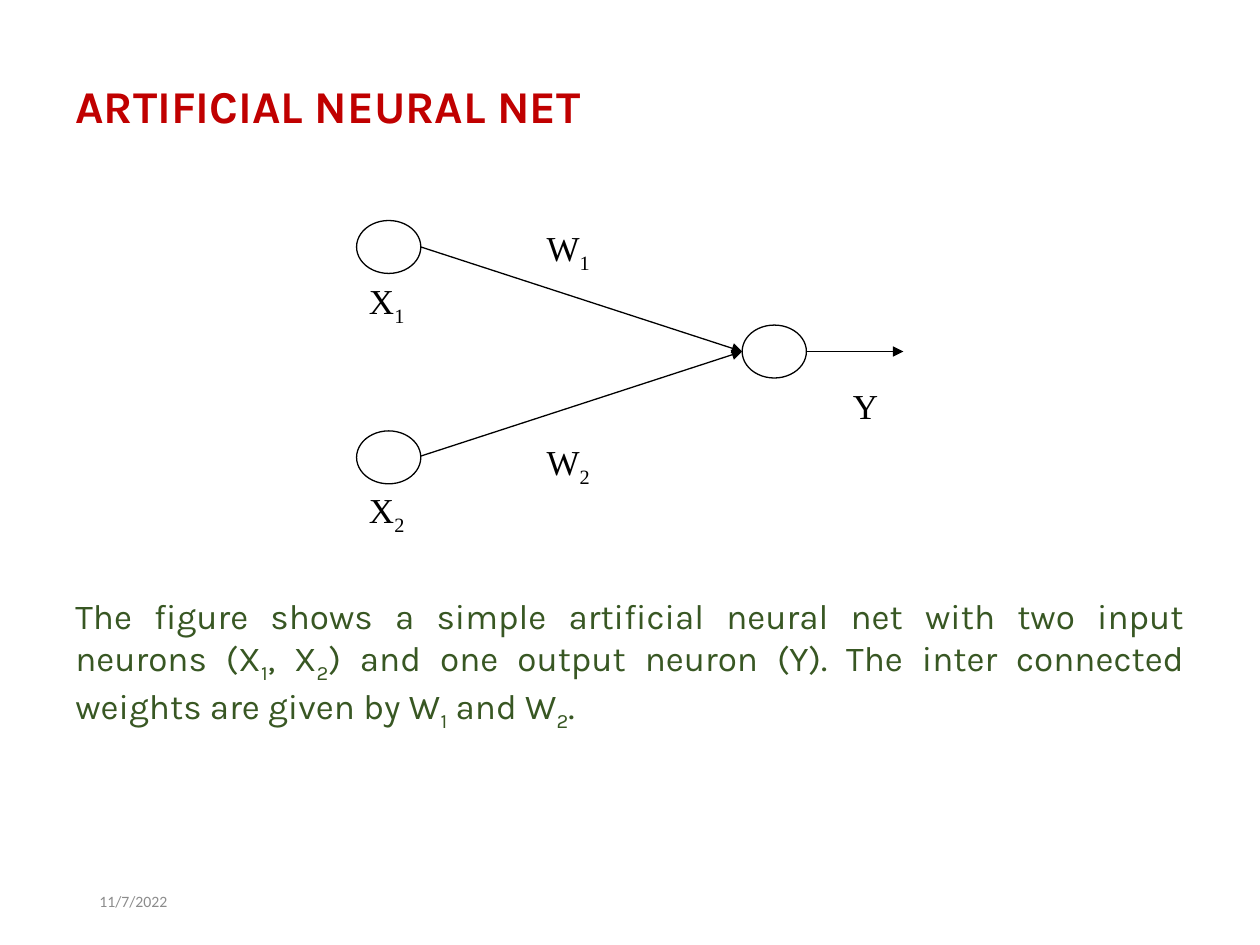
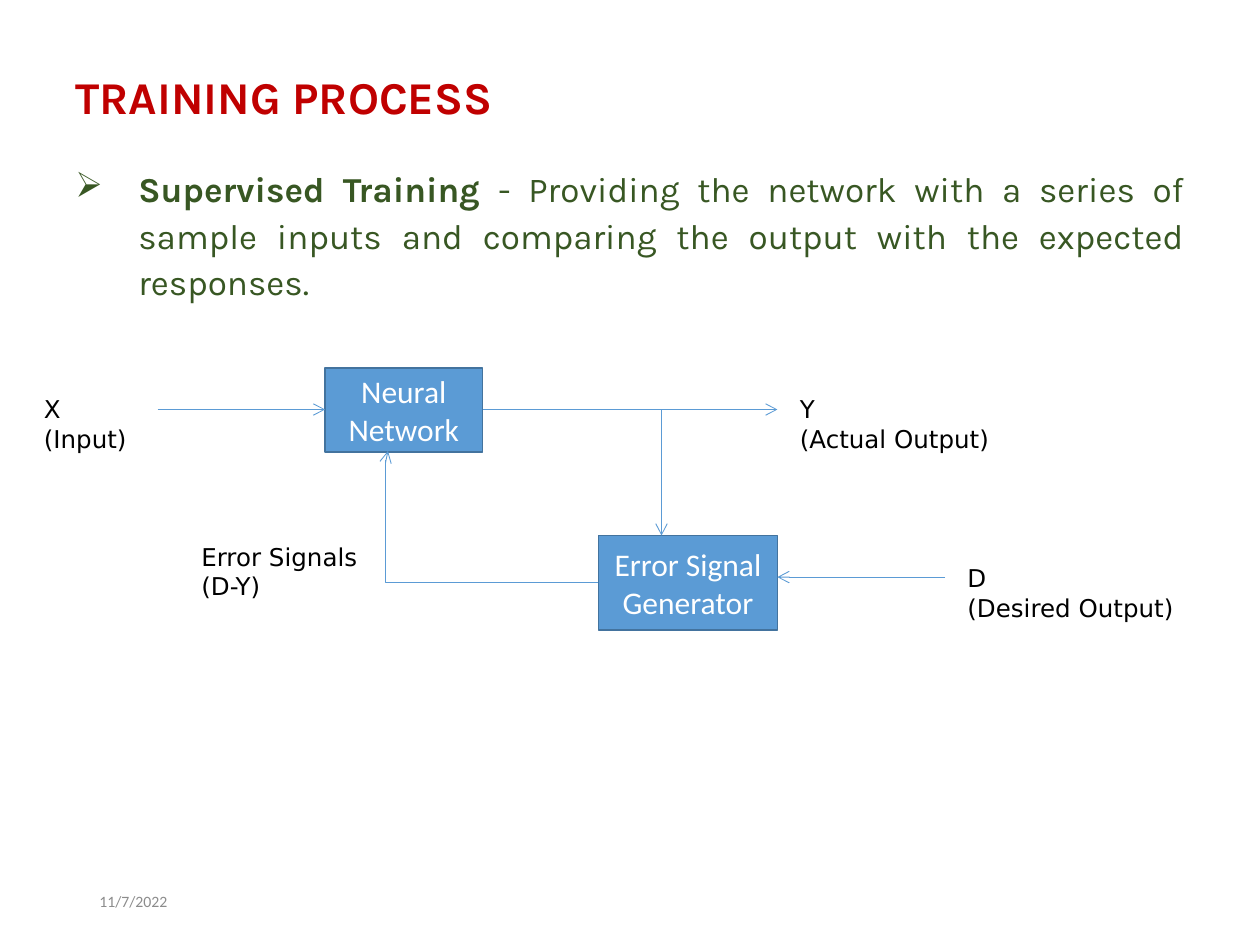
from lxml import etree
from pptx import Presentation
from pptx.dml.color import RGBColor
from pptx.enum.shapes import MSO_CONNECTOR, MSO_SHAPE
from pptx.enum.text import MSO_ANCHOR, MSO_AUTO_SIZE, PP_ALIGN
from pptx.oxml.ns import qn
from pptx.util import Inches, Pt

RED = RGBColor(0xC0, 0x00, 0x00)
GREEN = RGBColor(0x38, 0x57, 0x23)
BLUE = RGBColor(0x5B, 0x9B, 0xD5)
DARK_BLUE = RGBColor(0x43, 0x73, 0x9E)
GREY = RGBColor(0x8C, 0x8C, 0x8C)
BLACK = RGBColor(0x00, 0x00, 0x00)
WHITE = RGBColor(0xFF, 0xFF, 0xFF)

RECTANGLE, OVAL = MSO_SHAPE.RECTANGLE, MSO_SHAPE.OVAL
STRAIGHT, ELBOW = MSO_CONNECTOR.STRAIGHT, MSO_CONNECTOR.ELBOW
TOP, MIDDLE = MSO_ANCHOR.TOP, MSO_ANCHOR.MIDDLE
LEFT, CENTER, JUSTIFY = PP_ALIGN.LEFT, PP_ALIGN.CENTER, PP_ALIGN.JUSTIFY
GROW, FIXED = MSO_AUTO_SIZE.SHAPE_TO_FIT_TEXT, MSO_AUTO_SIZE.NONE

MARGIN, CONTENT_WIDTH = 0.5, 9
DATE = "11/7/2022"


class Lecture:
    """Lecture deck style together with the slide being filled."""

    def __init__(self):
        self.deck = Presentation()
        self.deck.slide_width, self.deck.slide_height = Inches(10), Inches(7.5)
        self.slide = None

    def add_slide(self, title, title_top):
        self.slide = self.deck.slides.add_slide(self.deck.slide_layouts[6])
        box = self.text(MARGIN, title_top, CONTENT_WIDTH, 0.54, [title], "Karla", 26, RED)
        box.text_frame.paragraphs[0].font.bold = True
        date = self.text(0.69, 6.95, 2.25, 0.4, [DATE], "Calibri", 9, GREY, MIDDLE)
        date.text_frame.auto_size = FIXED

    def set_text(self, shape, lines, font, size, color, anchor=TOP, align=LEFT):
        """Fill a shape with lines, where an underscore lowers the next character."""
        frame = shape.text_frame
        frame.word_wrap = True
        frame.vertical_anchor = anchor
        for index, line in enumerate(lines):
            para = frame.add_paragraph() if index else frame.paragraphs[0]
            para.alignment = align
            para.font.name, para.font.size = font, Pt(size)
            para.font.color.rgb = color
            start, *pieces = line.split("_")
            para.add_run().text = start
            for piece in pieces:
                span = para.add_run()
                span.text = piece[0]
                span.font._element.set("baseline", "-25000")
                if piece[1:]:
                    para.add_run().text = piece[1:]

    def text(self, left, top, width, height, lines, font, size, color, anchor=TOP, align=LEFT):
        box = self.slide.shapes.add_textbox(Inches(left), Inches(top), Inches(width), Inches(height))
        self.set_text(box, lines, font, size, color, anchor, align)
        box.text_frame.auto_size = GROW
        return box

    def body(self, top, height, line):
        box = self.text(MARGIN, top, CONTENT_WIDTH, height, [line], "Karla", 20, GREEN, align=JUSTIFY)
        return box.text_frame.paragraphs[0]

    def bullet(self, top, height, lead, rest):
        para = self.body(top, height, lead)
        para.runs[0].font.bold = True
        para.add_run().text = rest
        para.line_spacing = 1.1
        properties = para._p.get_or_add_pPr()
        properties.set("marL", str(Inches(0.5)))
        properties.set("indent", str(-Inches(0.5)))
        mark = etree.Element(qn("a:buChar"), char="➢")
        properties.find(qn("a:defRPr")).addprevious(mark)

    def shape(self, kind, left, top, width, height, fill, line=None, line_width=0.75):
        shape = self.slide.shapes.add_shape(kind, Inches(left), Inches(top), Inches(width), Inches(height))
        shape.shadow.inherit = False
        shape.fill.solid()
        shape.fill.fore_color.rgb = fill
        if line is None:
            shape.line.fill.background()
        else:
            shape.line.color.rgb = line
            shape.line.width = Pt(line_width)
        return shape

    def symbol(self, left, top, width, name):
        label = self.shape(RECTANGLE, left, top, width, 0.42, WHITE)
        self.set_text(label, [name], "Times New Roman", 20, BLACK)

    def neuron(self, left, top):
        self.shape(OVAL, left, top, 0.51, 0.42, WHITE, BLACK)

    def stage(self, left, top, width, height, name):
        block = self.shape(RECTANGLE, left, top, width, height, BLUE, DARK_BLUE, 1)
        self.set_text(block, [name], "Calibri", 18, WHITE, MIDDLE, CENTER)

    def caption(self, left, top, width, lines):
        self.text(left, top, width, 0.57, lines, "DejaVu Sans", 14, BLACK)

    def arrow(self, start, end, color=BLUE, width=0.5, head="arrow", kind=STRAIGHT):
        connector = self.slide.shapes.add_connector(kind, *map(Inches, (*start, *end)))
        connector.line.color.rgb = color
        connector.line.width = Pt(width)
        properties = connector._element.spPr
        etree.SubElement(properties.find(qn("a:ln")), qn("a:tailEnd"), type=head)
        etree.SubElement(properties, qn("a:effectLst"))
        return connector

    def bent_arrow(self, start, end, bend):
        connector = self.arrow(start, end, kind=ELBOW)
        guides = connector._element.spPr.find(qn("a:prstGeom")).find(qn("a:avLst"))
        etree.SubElement(guides, qn("a:gd"), name="adj1", fmla=f"val {round(bend * 100000)}")


def neural_net(lecture):
    lecture.add_slide("ARTIFICIAL NEURAL NET", 0.57)
    for left, top, width, name in (
        (2.83, 3.83, 1.28, "X_2"),
        (2.83, 2.17, 1.02, "X_1"),
        (4.24, 3.45, 1.02, "W_2"),
        (4.24, 1.75, 1.27, "W_1"),
        (6.67, 3, 0.77, "Y"),
    ):
        lecture.symbol(left, top, width, name)
    for left, top in ((2.83, 1.75), (5.89, 2.58), (2.83, 3.42)):
        lecture.neuron(left, top)
    output = (5.89, 2.79)
    for start, end in (((3.34, 3.62), output), ((3.34, 1.96), output), ((6.4, 2.79), (7.17, 2.79))):
        lecture.arrow(start, end, BLACK, 0.75, "triangle")
    lecture.body(
        4.67,
        1.11,
        "The figure shows a simple artificial neural net with two input neurons (X_1, X_2) "
        "and one output neuron (Y). The inter connected weights are given by W_1 and W_2.",
    )


def training_process(lecture):
    lecture.add_slide("TRAINING PROCESS", 0.5)
    lecture.bullet(
        1.25,
        2.77,
        "Supervised Training ",
        "- Providing the network with a series of sample inputs and comparing "
        "the output with the expected responses.",
    )
    lecture.stage(2.58, 2.92, 1.25, 0.67, "Neural Network")
    lecture.stage(4.75, 4.25, 1.42, 0.75, "Error Signal Generator")
    for start, end in (
        ((1.25, 3.25), (2.58, 3.25)),
        ((3.83, 3.25), (6.17, 3.25)),
        ((5.25, 3.25), (5.25, 4.25)),
        ((7.5, 4.58), (6.17, 4.58)),
    ):
        lecture.arrow(start, end)
    lecture.bent_arrow((4.75, 4.62), (3.08, 3.58), 1.01)
    for left, top, width, lines in (
        (0.25, 3.08, 1, ["X", "(Input)"]),
        (6.25, 3.08, 2.17, ["Y", "(Actual Output)"]),
        (7.58, 4.42, 2.17, ["D", "(Desired Output)"]),
        (1.5, 4.25, 1.5, ["Error Signals", "(D-Y)"]),
    ):
        lecture.caption(left, top, width, lines)


def main():
    lecture = Lecture()
    neural_net(lecture)
    training_process(lecture)
    lecture.deck.save("out.pptx")


if __name__ == "__main__":
    main()
